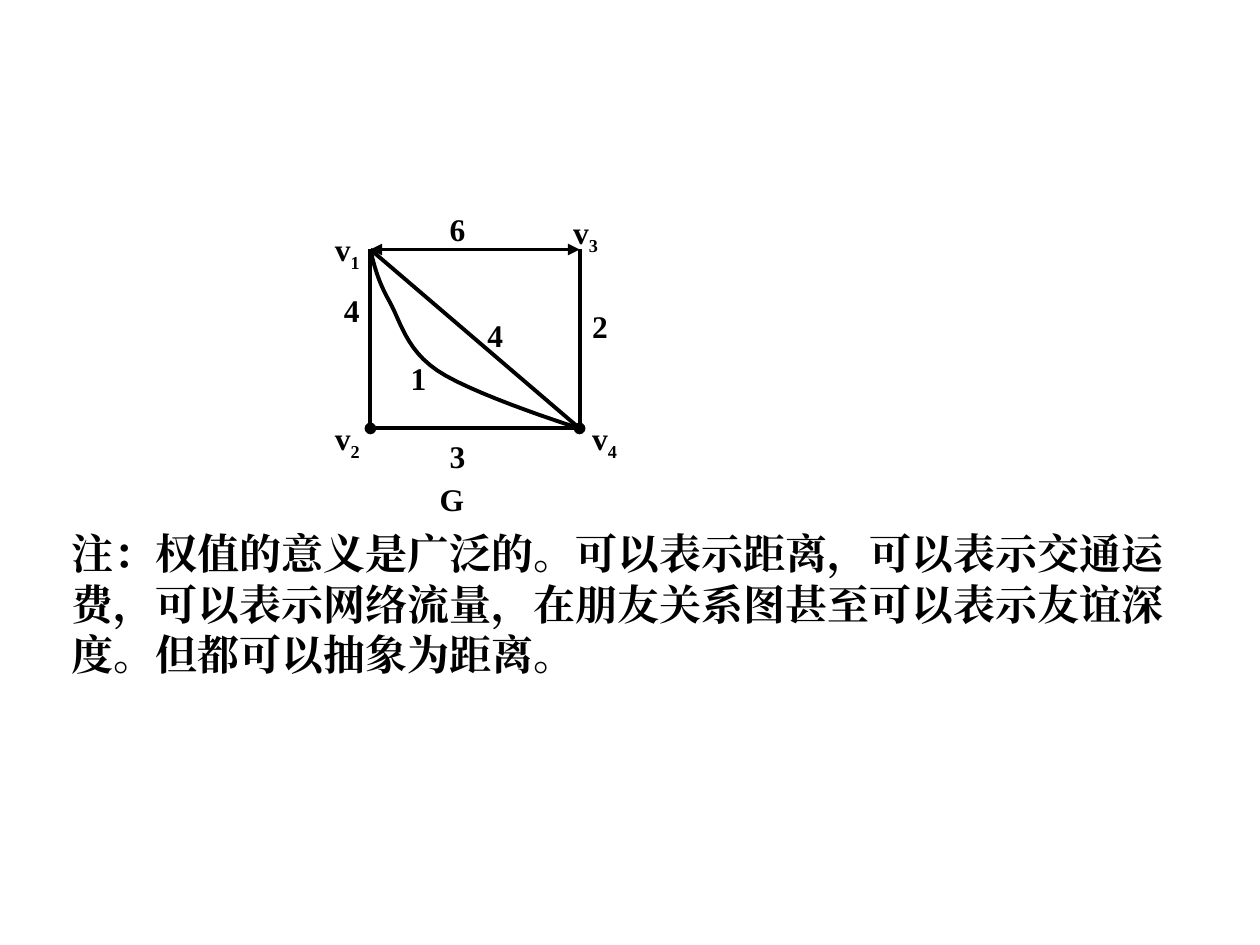
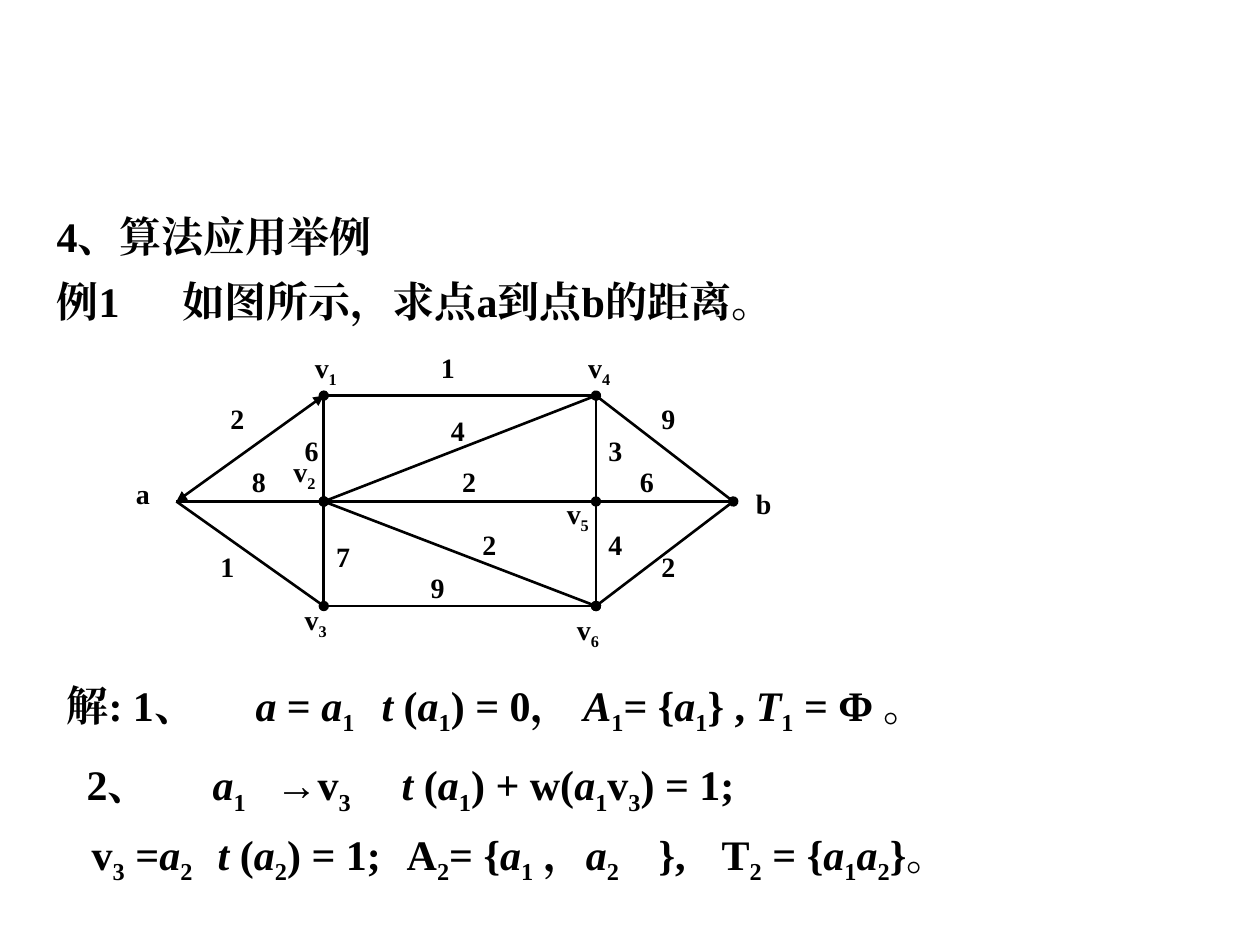
from dataclasses import dataclass
from typing import Any, Optional

import pptx
import pptx.dml.color
import pptx.enum.shapes
import pptx.enum.text
import pptx.oxml
import pptx.oxml.ns
import pptx.util
from pptx.util import Inches

BLACK = pptx.dml.color.RGBColor(0, 0, 0)
WHITE = pptx.dml.color.RGBColor(255, 255, 255)
FONT = "Times New Roman"
TEXT_SIZE = 24
TITLE_AND_CONTENT = 1
CURVE_STEPS = 12

Point = tuple[float, float]


@dataclass(frozen=True)
class Edge:
    start: str
    end: str
    marker: Optional[str] = None


@dataclass(frozen=True)
class Label:
    text: str
    left: float
    top: float


@dataclass(frozen=True)
class Graph:
    vertices: dict[str, Point]
    edges: list[Edge]
    labels: list[Label]
    line_width: float
    label_size: int
    label_width: float
    label_height: float


@dataclass(frozen=True)
class Formula:
    text: str
    left: float
    top: float
    tabs: tuple[float, ...]


WEIGHTED_GRAPH = Graph(
    vertices={"v1": (2.94, 1.98), "v2": (2.94, 3.4), "v3": (4.6, 1.98), "v4": (4.6, 3.4)},
    edges=[
        Edge("v1", "v2"),
        Edge("v1", "v3", "triangle"),
        Edge("v3", "v4"),
        Edge("v2", "v4", "oval"),
        Edge("v1", "v4"),
    ],
    labels=[
        Label("v_2", 2.56, 3.28),
        Label("v_1", 2.56, 1.78),
        Label("v_4", 4.6, 3.28),
        Label("v_3", 4.45, 1.64),
        Label("4", 2.63, 2.26),
        Label("1", 3.16, 2.8),
        Label("4", 3.77, 2.46),
        Label("6", 3.47, 1.62),
        Label("2", 4.6, 2.39),
        Label("3", 3.47, 3.42),
        Label("G", 3.39, 3.76),
    ],
    line_width=2.25,
    label_size=18,
    label_width=0.62,
    label_height=0.4,
)
# Each segment: two control points and an end point
CURVED_EDGE = [
    ((2.97, 2.11), (3.0, 2.23), (3.09, 2.39)),
    ((3.18, 2.55), (3.22, 2.77), (3.47, 2.94)),
    ((3.72, 3.11), (4.41, 3.34), WEIGHTED_GRAPH.vertices["v4"]),
]

LEFT_X, RIGHT_X = 2.57, 4.73
TOP_Y, MIDDLE_Y, BOTTOM_Y = 3.14, 3.98, 4.81
DISTANCE_GRAPH = Graph(
    vertices={
        "a": (1.4, MIDDLE_Y),
        "v1": (LEFT_X, TOP_Y),
        "v2": (LEFT_X, MIDDLE_Y),
        "v3": (LEFT_X, BOTTOM_Y),
        "v4": (RIGHT_X, TOP_Y),
        "v5": (RIGHT_X, MIDDLE_Y),
        "v6": (RIGHT_X, BOTTOM_Y),
        "b": (5.82, MIDDLE_Y),
    },
    edges=[
        Edge("v1", "v4"),
        Edge("v1", "a", "triangle"),
        Edge("a", "v3"),
        Edge("v1", "v3", "oval"),
        Edge("a", "v2"),
        Edge("v4", "v6"),
        Edge("v3", "v6"),
        Edge("v2", "v5", "oval"),
        Edge("v5", "b"),
        Edge("v4", "b"),
        Edge("b", "v6", "oval"),
        Edge("v4", "v2", "oval"),
        Edge("v2", "v6", "oval"),
    ],
    labels=[
        Label("8", 1.9, 3.64),
        Label("1", 1.65, 4.31),
        Label("2", 1.73, 3.14),
        Label("6", 2.32, 3.39),
        Label("1", 3.4, 2.73),
        Label("4", 3.48, 3.23),
        Label("2", 3.57, 3.64),
        Label("2", 3.73, 4.14),
        Label("7", 2.57, 4.23),
        Label("9", 3.32, 4.48),
        Label("2", 5.15, 4.31),
        Label("4", 4.73, 4.14),
        Label("6", 4.98, 3.64),
        Label("9", 5.15, 3.14),
        Label("3", 4.73, 3.39),
        Label("a", 0.98, 3.73),
        Label("v_1", 2.4, 2.73),
        Label("v_2", 2.23, 3.56),
        Label("v_3", 2.32, 4.73),
        Label("v_4", 4.57, 2.73),
        Label("v_5", 4.4, 3.89),
        Label("v_6", 4.48, 4.81),
        Label("b", 5.9, 3.81),
    ],
    line_width=1.5,
    label_size=16,
    label_width=0.43,
    label_height=0.37,
)

FORMULAS = [
    Formula("解: 1、\t~a = ~a_1\t~t (~a_1) = 0， ~A_1= {~a_1} , ~T_1 = Φ 。",
            0.43, 5.34, (1.42, 2.63)),
    Formula("2、\t~a_1\t→v_3\t~t (~a_1) + w(~a_1v_3) = 1;",
            0.59, 5.97, (0.81, 1.29, 2.09)),
    Formula("v_3 =~a_2\t~t (~a_2) = 1;\tA_2= {~a_1 ，~a_2\t},\tT_2 = {~a_1~a_2}。",
            0.63, 6.52, (1.05, 2.75, 4.66, 5.11)),
]


def append_element(parent: Any, tag: str, **attributes: str) -> Any:
    element = pptx.oxml.parse_xml(f"<{tag} {pptx.oxml.ns.nsdecls('a')}/>")
    for name, value in attributes.items():
        element.set(name, value)
    parent.append(element)
    return element


def split_markup(text: str) -> list[tuple[str, str]]:
    """Split into (mark, text); _ lowers the next character, ~ slants it."""
    pieces: list[tuple[str, str]] = []
    mark = ""
    for character in text:
        if character in "_~":
            mark = character
        elif not mark and pieces and not pieces[-1][0]:
            pieces[-1] = ("", pieces[-1][1] + character)
        else:
            pieces.append((mark, character))
            mark = ""
    return pieces


def write_text(shape: Any, text: str, *, size: int = TEXT_SIZE,
               tabs: tuple[float, ...] = (), middle: bool = False) -> None:
    frame = shape.text_frame
    frame.word_wrap = True
    frame.auto_size = pptx.enum.text.MSO_AUTO_SIZE.SHAPE_TO_FIT_TEXT
    anchors = pptx.enum.text.MSO_ANCHOR
    frame.vertical_anchor = anchors.MIDDLE if middle else anchors.TOP
    paragraph = frame.paragraphs[0]
    paragraph.alignment = pptx.enum.text.PP_ALIGN.LEFT
    paragraph.space_before = pptx.util.Pt(0)
    properties = paragraph._p.get_or_add_pPr()
    properties.set("marL", "0")
    properties.set("indent", "0")
    append_element(properties, "a:buNone")
    if tabs:
        tab_list = append_element(properties, "a:tabLst")
        for position in tabs:
            append_element(tab_list, "a:tab", pos=str(Inches(position)), algn="l")
    for mark, piece in split_markup(text):
        run = paragraph.add_run()
        run.text = piece
        font = run.font
        font.size = pptx.util.Pt(size)
        font.bold = True
        font.italic = mark == "~"
        font.color.rgb = BLACK
        font.name = FONT
        run_properties = run._r.get_or_add_rPr()
        append_element(run_properties, "a:ea", typeface=FONT)
        if mark == "_":
            run_properties.set("baseline", "-25000")


def place(shape: Any, left: float, top: float, width: float, height: float) -> None:
    shape.left, shape.top = Inches(left), Inches(top)
    shape.width, shape.height = Inches(width), Inches(height)


def draw_edge(shapes: Any, graph: Graph, edge: Edge) -> None:
    ends = (*graph.vertices[edge.start], *graph.vertices[edge.end])
    connector = shapes.add_connector(
        pptx.enum.shapes.MSO_CONNECTOR.STRAIGHT, *(Inches(value) for value in ends))
    connector.line.color.rgb = BLACK
    connector.line.width = pptx.util.Pt(graph.line_width)
    if edge.marker:
        line = connector.line._get_or_add_ln()
        append_element(line, "a:headEnd", type=edge.marker)
        append_element(line, "a:tailEnd", type=edge.marker)
    append_element(connector._element.spPr, "a:effectLst")


def draw_graph(slide: Any, graph: Graph) -> Any:
    """Draw edges and labels in one group and return the group's shapes."""
    shapes = slide.shapes.add_group_shape().shapes
    for edge in graph.edges:
        draw_edge(shapes, graph, edge)
    for label in graph.labels:
        box = shapes.add_textbox(Inches(label.left), Inches(label.top),
                                 Inches(graph.label_width), Inches(graph.label_height))
        write_text(box, label.text, size=graph.label_size)
    return shapes


def bezier_point(points: tuple[Point, ...], t: float) -> Point:
    weights = ((1 - t) ** 3, 3 * t * (1 - t) ** 2, 3 * t ** 2 * (1 - t), t ** 3)
    x, y = (sum(w * p[axis] for w, p in zip(weights, points)) for axis in (0, 1))
    return Inches(x), Inches(y)


def draw_curved_edge(shapes: Any) -> None:
    start = WEIGHTED_GRAPH.vertices["v1"]
    builder = shapes.build_freeform(Inches(start[0]), Inches(start[1]))
    for segment in CURVED_EDGE:
        builder.add_line_segments(
            [bezier_point((start, *segment), step / CURVE_STEPS)
             for step in range(1, CURVE_STEPS + 1)], close=False)
        start = segment[-1]
    curve = builder.convert_to_shape()
    curve.shadow.inherit = False
    curve.fill.background()
    curve.line.color.rgb = BLACK
    curve.line.width = pptx.util.Pt(WEIGHTED_GRAPH.line_width)


def add_slide(presentation: Any) -> Any:
    slide = presentation.slides.add_slide(presentation.slide_layouts[TITLE_AND_CONTENT])
    slide.background.fill.solid()
    slide.background.fill.fore_color.rgb = WHITE
    return slide


def build_weights_slide(presentation: Any) -> None:
    slide = add_slide(presentation)
    title, note = slide.placeholders
    title._element.getparent().remove(title._element)
    draw_curved_edge(draw_graph(slide, WEIGHTED_GRAPH))
    place(note, 0.47, 4.14, 9, 1.3)
    write_text(note, "注：权值的意义是广泛的。可以表示距离，可以表示交通运费，可以表示网络流量，"
                     "在朋友关系图甚至可以表示友谊深度。但都可以抽象为距离。")


def build_example_slide(presentation: Any) -> None:
    slide = add_slide(presentation)
    title, question = slide.placeholders
    place(title, 0.35, 1.62, 9, 0.5)
    write_text(title, "4、算法应用举例")
    place(question, 0.35, 2.14, 9, 0.5)
    write_text(question, "例1\t如图所示，求点a到点b的距离。", tabs=(0.84,))
    draw_graph(slide, DISTANCE_GRAPH)
    for formula in FORMULAS:
        box = slide.shapes.add_textbox(Inches(formula.left), Inches(formula.top),
                                       Inches(7.83), Inches(0.56))
        write_text(box, formula.text, tabs=formula.tabs, middle=True)


def main() -> None:
    presentation = pptx.Presentation()
    presentation.slide_width, presentation.slide_height = Inches(10), Inches(7.5)
    build_weights_slide(presentation)
    build_example_slide(presentation)
    presentation.save("out.pptx")


if __name__ == "__main__":
    main()
